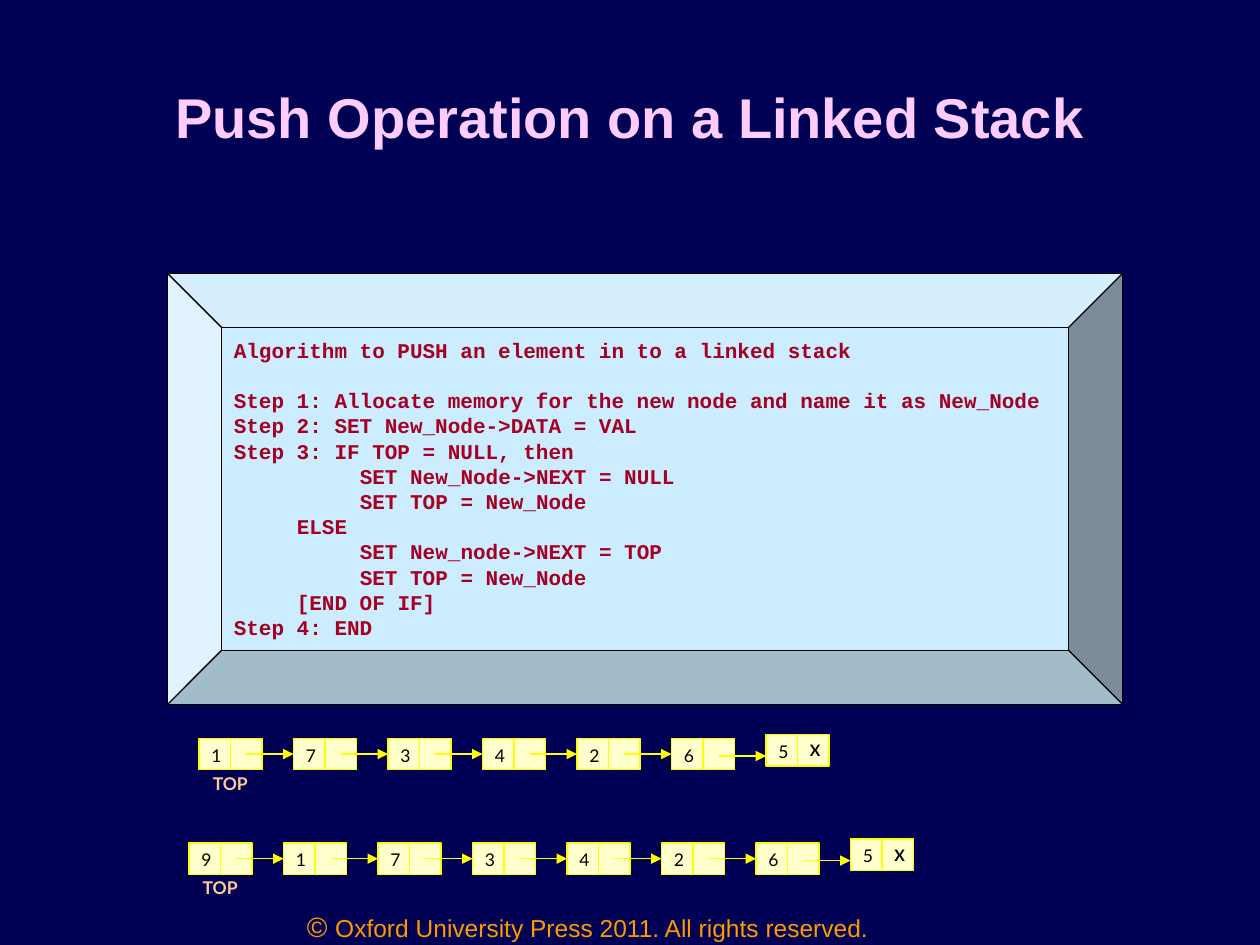
import pptx
import pptx.util
import pptx.dml.color
import pptx.enum.shapes
import pptx.enum.text
import pptx.oxml
import pptx.oxml.ns
from pptx.util import Inches, Pt

COLORS = {
    "background": "000055", "title": "FFCCFF", "panel": "CCECFF",
    "code": "A50021", "node": "FFFFCC", "link": "FFFF00",
    "ink": "000000", "label": "FFCC99", "footer": "FF9900",
}
SHAPE = pptx.enum.shapes.MSO_SHAPE
ANCHOR = pptx.enum.text.MSO_ANCHOR
ALIGN = pptx.enum.text.PP_ALIGN

ALGORITHM = [
    "Algorithm to PUSH an element in to a linked stack",
    "Step 1: Allocate memory for the new node and name it as New_Node",
    "Step 2: SET New_Node->DATA = VAL",
    "Step 3: IF TOP = NULL, then",
    "\t\tSET New_Node->NEXT = NULL",
    "\t\tSET TOP = New_Node",
    "\tELSE",
    "\t\tSET New_node->NEXT = TOP",
    "\t\tSET TOP = New_Node",
    "\t[END OF IF]",
    "Step 4: END",
]
CELL = 0.25          # side of one cell
PITCH = 3 * CELL     # two cells and a gap
LIFT = 0.03          # the last node sits a little higher


def rgb(name):
    return pptx.dml.color.RGBColor.from_string(COLORS[name])


class Deck:
    def __init__(self):
        self.prs = pptx.Presentation()
        self.prs.slide_width, self.prs.slide_height = Inches(10), Inches(7.5)
        self.s = None

    def new_slide(self):
        self.s = self.prs.slides.add_slide(self.prs.slide_layouts[5])
        self.s.background.fill.solid()
        self.s.background.fill.fore_color.rgb = rgb("background")

    def run(self, p, text, size, color, font="Arial", bold=False):
        r = p.add_run()
        r.text = text
        r.font.size, r.font.name, r.font.bold = Pt(size), font, bold
        r.font.color.rgb = rgb(color)

    def title(self, text, x, y, w, h):
        sp = self.s.shapes.title
        sp.left, sp.top, sp.width, sp.height = map(Inches, (x, y, w, h))
        tf = sp.text_frame
        tf.vertical_anchor = ANCHOR.MIDDLE
        tf.paragraphs[0].alignment = ALIGN.CENTER
        self.run(tf.paragraphs[0], text, 32, "title", bold=True)

    def text_box(self, x, y, w, h, wrap=True):
        tf = self.s.shapes.add_textbox(*map(Inches, (x, y, w, h))).text_frame
        tf.word_wrap = wrap
        return tf

    def box(self, shapes, kind, x, y, w, h, fill, line):
        sp = shapes.add_shape(kind, *map(Inches, (x, y, w, h)))
        sp.shadow.inherit = False
        sp.fill.solid()
        sp.fill.fore_color.rgb = rgb(fill)
        sp.line.color.rgb = rgb(line)
        sp.line.width = Pt(0.75)
        sp.text_frame.vertical_anchor = ANCHOR.TOP
        sp.text_frame.paragraphs[0].alignment = ALIGN.LEFT
        return sp

    def code_panel(self, lines, x, y, w, h):
        sp = self.box(self.s.shapes, SHAPE.BEVEL, x, y, w, h, "panel", "ink")
        sp.adjustments[0] = 0.125
        tf = sp.text_frame
        tf.margin_top = Inches(0.08)
        for i, text in enumerate(lines):
            p = tf.paragraphs[0] if i == 0 else tf.add_paragraph()
            p.alignment = ALIGN.LEFT
            p.line_spacing = Pt(14.4)
            if i == 1:
                p.space_before = Pt(14.4)
            self.run(p, text, 12, "code", "Courier New", True)

    def cell(self, shapes, x, y, text="", size=10, bold=False):
        sp = self.box(shapes, SHAPE.RECTANGLE, x, y, CELL, CELL, "node", "link")
        if text:
            self.run(sp.text_frame.paragraphs[0], text, size, "ink", "Lato", bold)
        return sp

    def arrow(self, shapes, x, y, target=None):
        c = shapes.add_connector(
            pptx.enum.shapes.MSO_CONNECTOR.STRAIGHT,
            *map(Inches, (x, y, x + 1.5 * CELL, y)))
        if target is not None:
            c.end_connect(target, 1)
        c.line.color.rgb = rgb("link")
        c.line.width = Pt(0.75)
        ln = c.line._get_or_add_ln()
        tail = pptx.oxml.parse_xml(
            '<a:tailEnd %s type="triangle"/>' % pptx.oxml.ns.nsdecls("a"))
        ln.append(tail)
        c._element.spPr.append(pptx.oxml.parse_xml(
            "<a:effectLst %s/>" % pptx.oxml.ns.nsdecls("a")))

    def linked_list(self, values, x, y):
        shapes = self.s.shapes.add_group_shape().shapes
        last = len(values) - 1
        for i, value in enumerate(values):
            left = x + i * PITCH
            top = y - LIFT if i == last else y
            data = self.cell(shapes, left, top, value)
            if i == last:
                self.cell(shapes, left + CELL, top, "X", 9, True)
                self.arrow(shapes, left - 1.5 * CELL, y + 0.14)
            else:
                self.cell(shapes, left + CELL, top)
                if i:
                    self.arrow(shapes, left - 1.5 * CELL, y + CELL / 2, data)

    def top_label(self, x, y):
        tf = self.text_box(x, y, 0.51, 0.27, wrap=False)
        tf.vertical_anchor = ANCHOR.MIDDLE
        tf.auto_size = pptx.enum.text.MSO_AUTO_SIZE.SHAPE_TO_FIT_TEXT
        self.run(tf.paragraphs[0], "TOP", 10, "label", "Lato", True)

    def footer(self, mark, text):
        p = self.text_box(2, 7.17, 5.33, 0.33).paragraphs[0]
        p.alignment = ALIGN.CENTER
        self.run(p, mark, 16, "footer")
        self.run(p, text, 14, "footer")


def main():
    deck = Deck()
    deck.new_slide()

    # Footer and title
    deck.footer("© ", "Oxford University Press 2011. All rights reserved.")
    deck.title("Push Operation on a Linked Stack", 0.5, 0.3, 9, 1.25)

    # Algorithm
    deck.code_panel(ALGORITHM, 1.33, 2.17, 7.58, 3.42)

    # Stack before and after the push
    for values, x, y in (("1734265", 1.58, 5.86), ("91734265", 1.5, 6.69)):
        deck.linked_list(values, x, y)
        deck.top_label(x + 0.01, y + 0.22)

    deck.prs.save("out.pptx")


if __name__ == "__main__":
    main()
